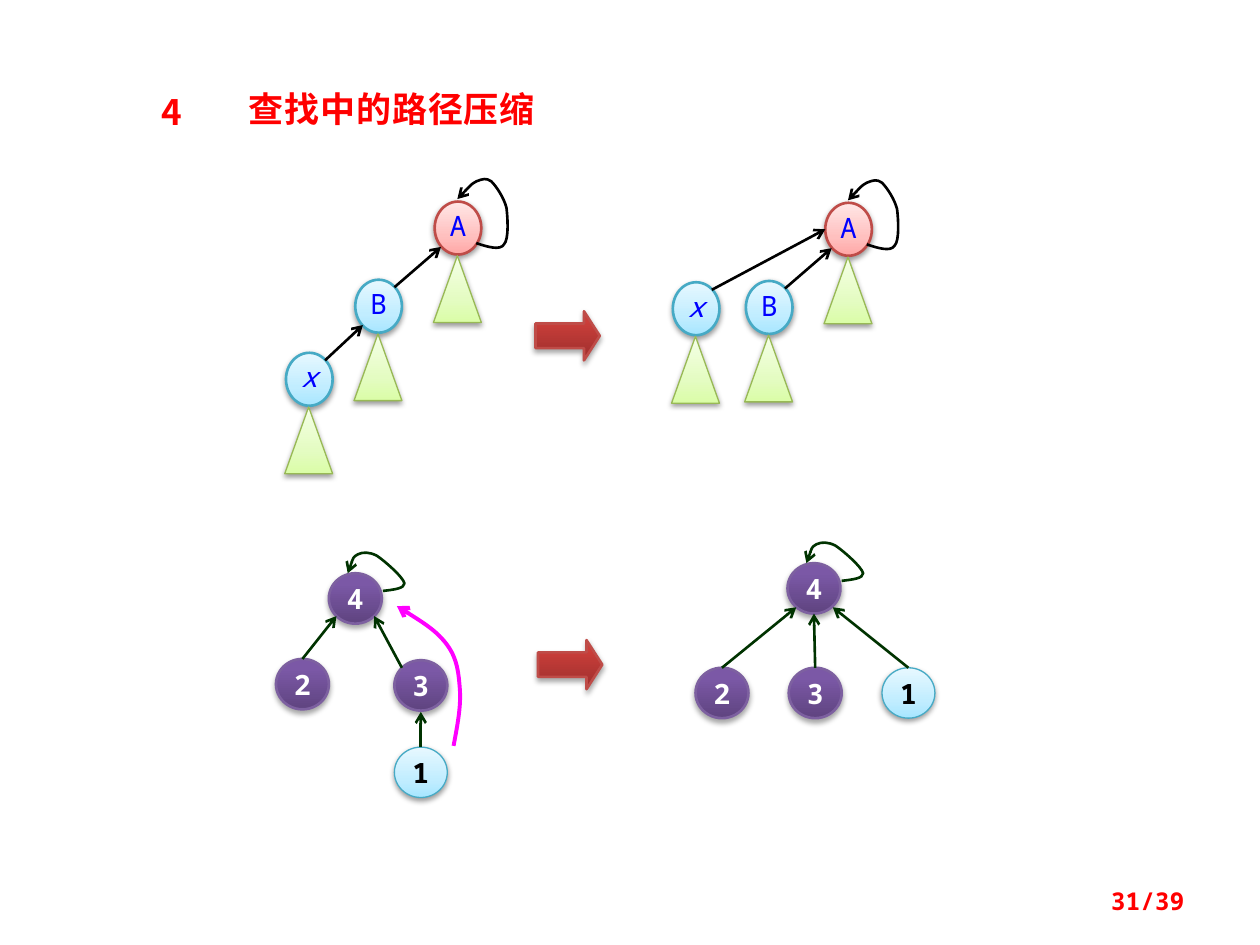
from dataclasses import dataclass

from lxml import etree
from pptx import Presentation
from pptx import util as u
from pptx.dml.color import RGBColor
from pptx.enum import shapes, text
from pptx.oxml.ns import qn


@dataclass(frozen=True)
class Look:
    """Gradient stops from bottom to top, outline, and shadow opacity and distance."""
    stops: tuple
    line: str
    width: float = 1.5
    alpha: int = 38
    distance: float = 1.6


@dataclass(frozen=True)
class Theme:
    heading_font: str = "Noto Sans CJK SC"
    label_font: str = "Noto Sans Mono"
    heading_size: int = 20
    label_size: int = 16
    page_size: int = 14
    red: str = "FF0000"
    blue: str = "0000FF"
    black: str = "000000"
    white: str = "FFFFFF"
    green: str = "003300"
    magenta: str = "FF00FF"
    pale_blue = ((0, "A7E6FF"), (35, "C1EDFF"), (100, "E7F8FF"))
    root = Look(((0, "FFA6A5"), (35, "FFC0BF"), (100, "FFE7E7")), "BF4C48")
    member = Look(pale_blue, "46AAC5")
    moved = Look(pale_blue, "46AAC5", 0.75)
    subtree = Look(((0, "DAFDA7"), (35, "E4FCC2"), (100, "F5FFE7")), "98B955", 0.75)
    number = Look(((0, "5F4480"), (80, "7B58A6"), (100, "7C57A8")), "7D60A0", 1.5, 35, 1.8)
    step = Look(((0, "9C2F2D"), (80, "CB3E3A"), (100, "CE3B37")), "BF4C48", 1.5, 35, 1.8)


THEME = Theme()
Kind = shapes.MSO_SHAPE
Align = text.PP_ALIGN
Anchor = text.MSO_ANCHOR

# Curves are a start point followed by triples of Bezier points
SET_LOOP = [(.33, .33), (.42, .36), (.52, .39), (.55, .34), (.59, .3), (.58, .13),
            (.57, .05), (.55, -.03), (.49, -.12), (.45, -.16), (.41, -.19),
            (.38, -.18), (.33, -.16), (.29, -.14), (.21, -.05), (.18, -.02)]
TREE_LOOP = [(.43, .14), (.52, .13), (.6, .12), (.6, .08), (.59, .03), (.44, -.1),
             (.38, -.14), (.32, -.17), (.27, -.17), (.23, -.15), (.19, -.13),
             (.17, -.06), (.15, 0)]
SHORTCUT = [(.99, 1.37), (1.02, 1.21), (1.05, 1.06), (1.04, .92), (1.03, .79),
            (1.02, .68), (.94, .57), (.86, .46), (.7, .36), (.54, .26)]


def write(frame, words, size, color, font=THEME.label_font, bold=False, italic=False,
          align=Align.CENTER, anchor=Anchor.MIDDLE, spacing=None, tracking=None,
          insets=(0.1, 0.05)):
    frame.word_wrap = True
    frame.vertical_anchor = anchor
    frame.margin_left = frame.margin_right = u.Inches(insets[0])
    frame.margin_top = frame.margin_bottom = u.Inches(insets[1])
    paragraph = frame.paragraphs[0]
    paragraph.alignment = align
    if spacing:
        paragraph.line_spacing = u.Pt(spacing)
    run = paragraph.add_run()
    run.text = words
    run.font.size = u.Pt(size)
    run.font.bold = bold
    run.font.italic = italic
    run.font.color.rgb = RGBColor.from_string(color)
    run.font.name = font
    properties = run.font._element
    etree.SubElement(properties, qn("a:ea"), typeface=font)
    if tracking:
        properties.set("spc", str(int(tracking * 100)))


def place(shape, left, top, width, height):
    shape.left, shape.top = u.Inches(left), u.Inches(top)
    shape.width, shape.height = u.Inches(width), u.Inches(height)


def add_solid(slide, kind, left, top, width, height, look):
    """Preset shape with a vertical gradient, outline and soft shadow."""
    shape = slide.shapes.add_shape(kind, *map(u.Inches, (left, top, width, height)))
    shape.fill.gradient()
    shape.fill.gradient_angle = 90
    stops = shape._element.spPr.find(".//" + qn("a:gsLst"))
    for stop in list(stops):
        stops.remove(stop)
    for position, color in look.stops:
        stop = etree.SubElement(stops, qn("a:gs"), pos=str(position * 1000))
        etree.SubElement(stop, qn("a:srgbClr"), val=color)
    shape.line.color.rgb = RGBColor.from_string(look.line)
    shape.line.width = u.Pt(look.width)
    shape.shadow.inherit = False
    effects = shape._element.spPr.find(qn("a:effectLst"))
    shadow = etree.SubElement(effects, qn("a:outerShdw"), blurRad=str(u.Pt(3.1)),
                              dist=str(u.Pt(look.distance)), dir="5400000",
                              rotWithShape="0")
    tint = etree.SubElement(shadow, qn("a:srgbClr"), val=THEME.black)
    etree.SubElement(tint, qn("a:alpha"), val=str(look.alpha * 1000))
    return shape


def style_stroke(shape, color, width):
    """Open arrowhead at the end, no shadow."""
    shape.line.color.rgb = RGBColor.from_string(color)
    shape.line.width = u.Pt(width)
    etree.SubElement(shape.line._get_or_add_ln(), qn("a:tailEnd"), type="arrow")
    etree.SubElement(shape._element.spPr, qn("a:effectLst"))


def add_arrow(slide, start, end, color, source=None):
    arrow = slide.shapes.add_connector(shapes.MSO_CONNECTOR.STRAIGHT,
                                       *map(u.Inches, (*start, *end)))
    if source is not None:
        arrow.begin_connect(source, 0)
    style_stroke(arrow, color, 1.5)


def add_curve(slide, left, top, points, color, width=1.5):
    points = [(u.Inches(left + x), u.Inches(top + y)) for x, y in points]
    builder = slide.shapes.build_freeform(*points[0])
    builder.add_line_segments(points[1:], close=False)
    curve = builder.convert_to_shape()
    # Turn each three straight segments into one Bezier segment
    segments = list(curve._element.spPr.iter(qn("a:lnTo")))
    for first in range(0, len(segments), 3):
        bezier = etree.Element(qn("a:cubicBezTo"))
        segments[first].addprevious(bezier)
        for segment in segments[first:first + 3]:
            bezier.append(segment[0])
            segment.getparent().remove(segment)
    curve.fill.background()
    style_stroke(curve, color, width)


def add_heading(slide, left, top):
    title = slide.shapes.title
    place(title, left + 0.72, top, 2.7, 0.44)
    style = dict(size=THEME.heading_size, color=THEME.red, font=THEME.heading_font, bold=True)
    write(title.text_frame, "查找中的路径压缩", align=Align.LEFT, tracking=0.5, **style)
    number = slide.shapes.add_textbox(0, 0, 0, 0)
    place(number, left, top + 0.06, 0.42, 0.37)
    write(number.text_frame, "4", **style)


def add_set_forest(slide, left, top, members, links):
    """Sets with subtrees; the box starts at root A."""
    for name, (x, y) in {"A": (0, 0), **members}.items():
        look = THEME.root if name == "A" else THEME.member
        node = add_solid(slide, Kind.OVAL, left + x, top + y, 0.37, 0.42, look)
        write(node.text_frame, name, THEME.label_size, THEME.blue, italic=name == "x",
              anchor=Anchor.TOP, spacing=16, insets=(0, 0.04))
        add_solid(slide, Kind.ISOSCELES_TRIANGLE, left + x - 0.01, top + y + 0.43,
                  0.38, 0.53, THEME.subtree)
    for (x1, y1), (x2, y2) in links:
        add_arrow(slide, (left + x1, top + y1), (left + x2, top + y2), THEME.black)
    add_curve(slide, left, top, SET_LOOP, THEME.black)


def add_number_tree(slide, left, top, children, links):
    """Numbered nodes; the box starts at root 4. A link without a start leaves the top."""
    nodes = {}
    for name, (x, y) in {"4": (0, 0), **children}.items():
        look, color = (THEME.moved, THEME.black) if name == "1" else (THEME.number, THEME.white)
        nodes[name] = add_solid(slide, Kind.OVAL, left + x, top + y, 0.42, 0.4, look)
        write(nodes[name].text_frame, name, THEME.label_size, color, bold=True,
              insets=(0, 0.05))
    for name, start, (x2, y2) in links:
        x1, y1 = start or children[name]
        add_arrow(slide, (left + x1, top + y1), (left + x2, top + y2), THEME.green,
                  None if start else nodes[name])
    add_curve(slide, left, top, TREE_LOOP, THEME.green)


def add_step(slide, left, top):
    step = add_solid(slide, Kind.RIGHT_ARROW, left, top, 0.51, 0.39, THEME.step)
    step.adjustments[1] = 0.32


def add_page_number(slide, left, top):
    page = slide.shapes.add_textbox(0, 0, 0, 0)
    place(page, left, top, 2.33, 0.4)
    write(page.text_frame, "31/39", THEME.page_size, THEME.red, bold=True, align=Align.RIGHT)


def main():
    deck = Presentation()
    deck.slide_width, deck.slide_height = u.Inches(10), u.Inches(7.5)
    slide = deck.slides.add_slide(deck.slide_layouts[5])
    add_heading(slide, 1.15, 0.64)

    # Sets before and after compression
    b_to_a = ((-.32, .68), (.05, .36))
    add_set_forest(slide, 3.45, 1.6, {"B": (-.63, .62), "x": (-1.18, 1.2)},
                   [b_to_a, ((-.87, 1.26), (-.57, .98))])
    add_step(slide, 4.25, 2.47)
    add_set_forest(slide, 6.55, 1.61, {"B": (-.63, .62), "x": (-1.21, .63)},
                   [b_to_a, ((-.9, .69), (0, .21))])

    # Numbered tree before and after compression
    add_number_tree(slide, 2.61, 4.55, {"2": (-.42, .68), "3": (.52, .69), "1": (.52, 1.38)},
                    [("2", None, (.06, .34)), ("3", (.58, .75), (.36, .34)),
                     ("1", None, (.73, 1.1))])
    add_curve(slide, 2.61, 4.55, SHORTCUT, THEME.magenta, 2.25)
    add_step(slide, 4.27, 5.08)
    add_number_tree(slide, 6.25, 4.47, {"2": (-.73, .83), "3": (.01, .83), "1": (.75, .83)},
                    [("2", None, (.07, .35)), ("3", None, (.21, .4)), ("1", None, (.36, .35))])

    add_page_number(slide, 7.17, 6.95)
    deck.save("out.pptx")


if __name__ == "__main__":
    main()
